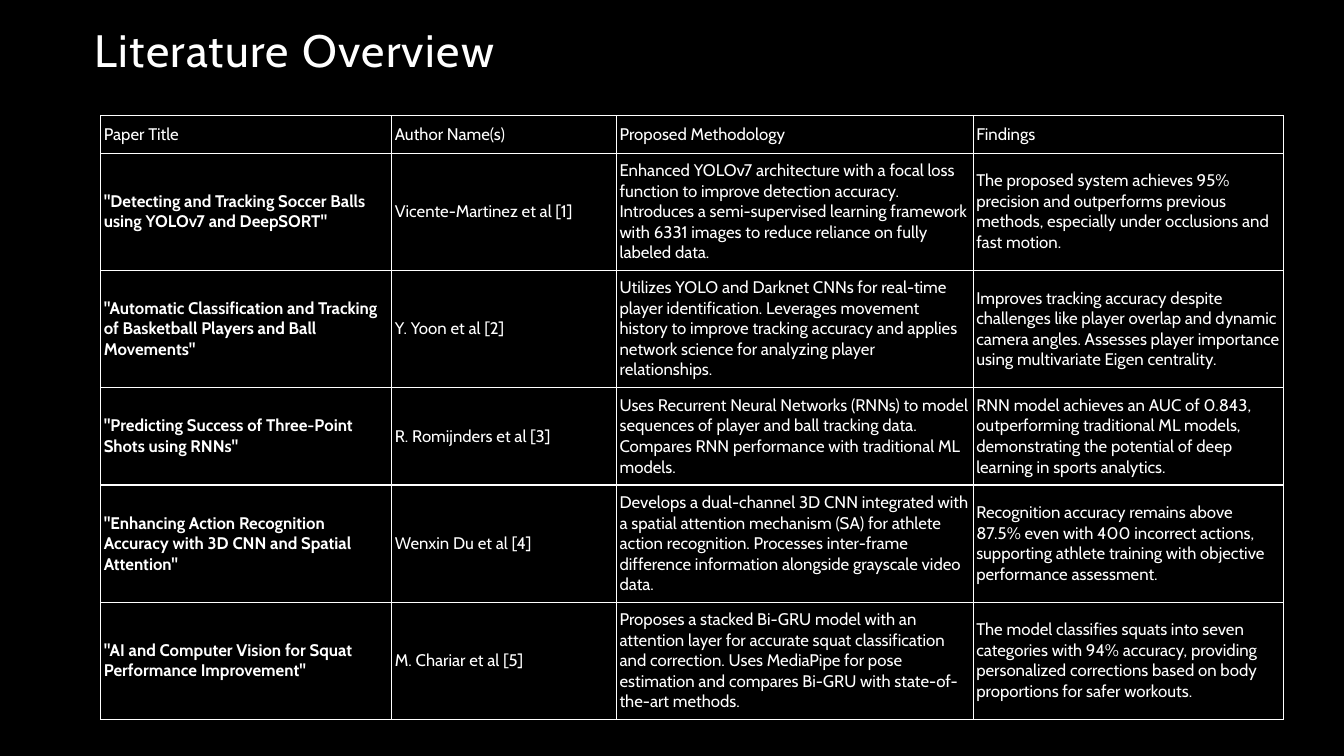
from dataclasses import astuple, dataclass

from lxml.etree import SubElement
from pptx import Presentation
from pptx.dml.color import RGBColor
from pptx.enum.text import MSO_ANCHOR as Anchor
from pptx.oxml.ns import qn
from pptx.slide import Slide
from pptx.table import _Cell as Cell
from pptx.text.text import Font
from pptx.util import Inches, Pt

SLIDE_WIDTH, SLIDE_HEIGHT = 13.33, 7.5
FONT = "Cabin"
BLACK, WHITE = "000000", "FFFFFF"

# Table grid: shares of the slide's width and height
TABLE_LEFT, TABLE_TOP = 0.075, 0.1533
COLUMN_SHARES = (0.2166, 0.1672, 0.2654, 0.2308)
HEADER_SHARE, FOUR_LINES, FIVE_LINES = 0.0493, 0.1293, 0.1549


@dataclass
class Paper:
    title: str
    authors: str
    methodology: str
    findings: str


HEADINGS = Paper("Paper Title", "Author Name(s)", "Proposed Methodology", "Findings")
PAPERS = [
    Paper('"Detecting and Tracking Soccer Balls using YOLOv7 and DeepSORT"',
          "Vicente-Martinez et al [1]",
          "Enhanced YOLOv7 architecture with a focal loss function to improve detection "
          "accuracy. Introduces a semi-supervised learning framework with 6331 images to "
          "reduce reliance on fully labeled data.",
          "The proposed system achieves 95% precision and outperforms previous methods, "
          "especially under occlusions and fast motion."),
    Paper('"Automatic Classification and Tracking of Basketball Players and Ball Movements"',
          "Y. Yoon et al [2]",
          "Utilizes YOLO and Darknet CNNs for real-time player identification. Leverages "
          "movement history to improve tracking accuracy and applies network science for "
          "analyzing player relationships.",
          "Improves tracking accuracy despite challenges like player overlap and dynamic "
          "camera angles. Assesses player importance using multivariate Eigen centrality."),
    Paper('"Predicting Success of Three-Point Shots using RNNs"',
          "R. Romijnders et al [3]",
          "Uses Recurrent Neural Networks (RNNs) to model sequences of player and ball "
          "tracking data. Compares RNN performance with traditional ML models.",
          "RNN model achieves an AUC of 0.843, outperforming traditional ML models, "
          "demonstrating the potential of deep learning in sports analytics."),
    Paper('"Enhancing Action Recognition Accuracy with 3D CNN and Spatial Attention"',
          "Wenxin Du et al [4]",
          "Develops a dual-channel 3D CNN integrated with a spatial attention mechanism (SA) "
          "for athlete action recognition. Processes inter-frame difference information "
          "alongside grayscale video data.",
          "Recognition accuracy remains above 87.5% even with 400 incorrect actions, "
          "supporting athlete training with objective performance assessment."),
    Paper('"AI and Computer Vision for Squat Performance Improvement"',
          "M. Chariar et al [5]",
          "Proposes a stacked Bi-GRU model with an attention layer for accurate squat "
          "classification and correction. Uses MediaPipe for pose estimation and compares "
          "Bi-GRU with state-of-the-art methods.",
          "The model classifies squats into seven categories with 94% accuracy, providing "
          "personalized corrections based on body proportions for safer workouts."),
]
ROW_SHARES = (HEADER_SHARE, FIVE_LINES, FIVE_LINES, FOUR_LINES, FIVE_LINES, FIVE_LINES)


def across(share: float) -> int:
    return Inches(SLIDE_WIDTH * share)


def down(share: float) -> int:
    return Inches(SLIDE_HEIGHT * share)


def color(value: str) -> RGBColor:
    return RGBColor.from_string(value)


def style_font(font: Font, size: float, bold: bool = False) -> None:
    font.name, font.size, font.bold = FONT, Pt(size), bold
    font.color.rgb = color(WHITE)


def add_borders(cell: Cell) -> None:
    properties = cell._tc.get_or_add_tcPr()
    for side in ("a:lnL", "a:lnR", "a:lnT", "a:lnB"):
        line = SubElement(properties, qn(side), w=str(Pt(1)))
        fill = SubElement(line, qn("a:solidFill"))
        SubElement(fill, qn("a:srgbClr"), val=WHITE)


def fill_cell(cell: Cell, text: str, bold: bool) -> None:
    cell.margin_left = cell.margin_right = Inches(0.03)
    cell.margin_top = cell.margin_bottom = Inches(0.01)
    cell.vertical_anchor = Anchor.MIDDLE
    add_borders(cell)
    cell.fill.background()
    cell.text_frame.text = text
    style_font(cell.text_frame.paragraphs[0].runs[0].font, 12, bold)


def add_title(slide: Slide, text: str) -> None:
    box = slide.shapes.add_textbox(across(0.063), down(0.028), across(0.77), down(0.0813))
    frame = box.text_frame
    frame.word_wrap = True
    frame.vertical_anchor = Anchor.BOTTOM
    frame.text = text
    paragraph = frame.paragraphs[0]
    paragraph.line_spacing = 0.9
    run = paragraph.runs[0]
    style_font(run.font, 32.4)
    run._r.get_or_add_rPr().set("spc", "100")


def add_paper_table(slide: Slide, rows: list[Paper]) -> None:
    shape = slide.shapes.add_table(
        len(rows), len(COLUMN_SHARES), across(TABLE_LEFT), down(TABLE_TOP),
        across(sum(COLUMN_SHARES)), down(sum(ROW_SHARES)))
    table = shape.table
    table.first_row = table.horz_banding = False
    for column, share in zip(table.columns, COLUMN_SHARES):
        column.width = across(share)
    for row_index, (row, share, paper) in enumerate(zip(table.rows, ROW_SHARES, rows)):
        row.height = down(share)
        for column_index, text in enumerate(astuple(paper)):
            fill_cell(row.cells[column_index], text, row_index > 0 and column_index == 0)


def main() -> None:
    presentation = Presentation()
    presentation.slide_width, presentation.slide_height = across(1), down(1)
    slide = presentation.slides.add_slide(presentation.slide_layouts[6])

    # Black background
    slide.background.fill.solid()
    slide.background.fill.fore_color.rgb = color(BLACK)

    # Heading and literature table
    add_title(slide, "Literature Overview")
    add_paper_table(slide, [HEADINGS, *PAPERS])

    presentation.save("out.pptx")


if __name__ == "__main__":
    main()
